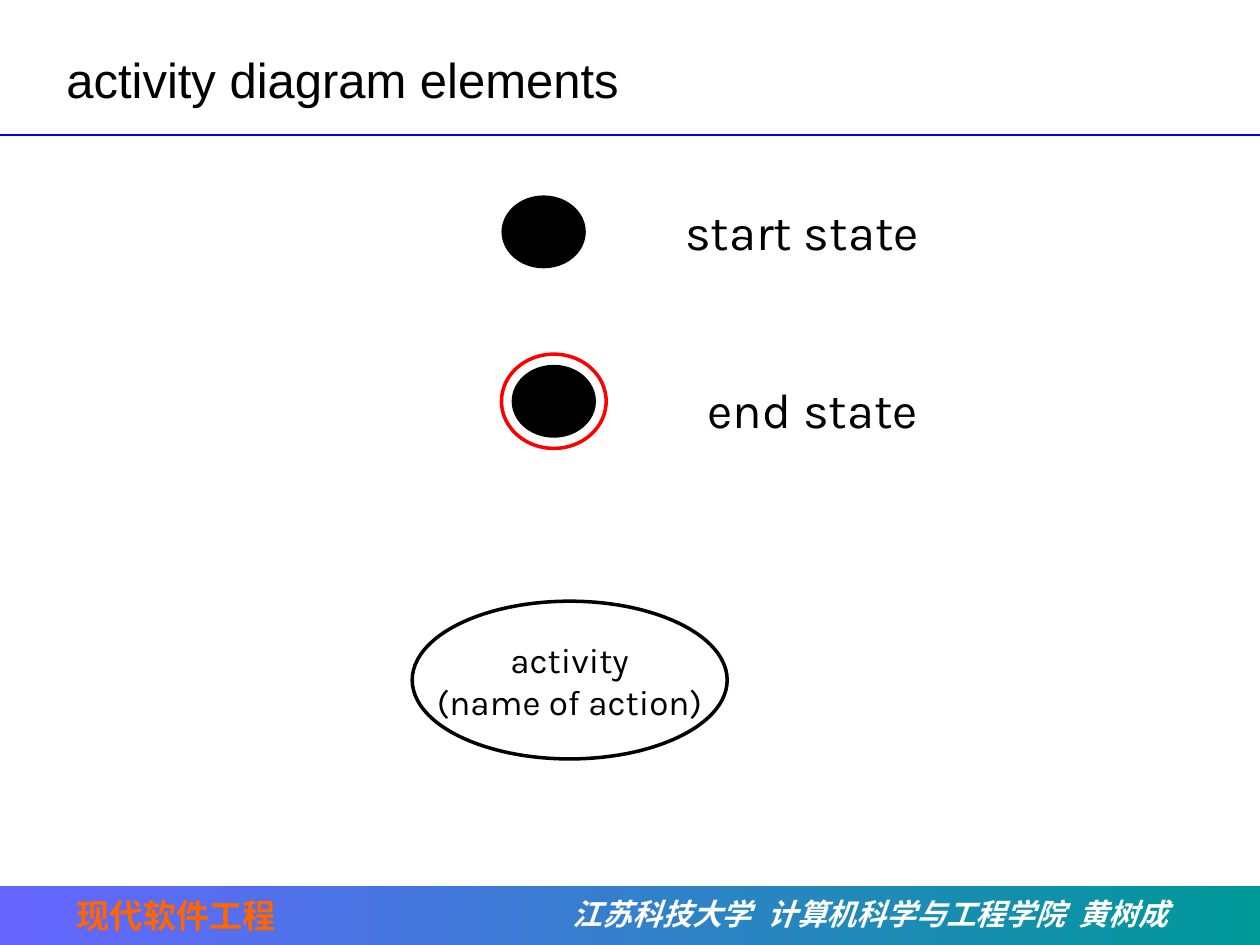
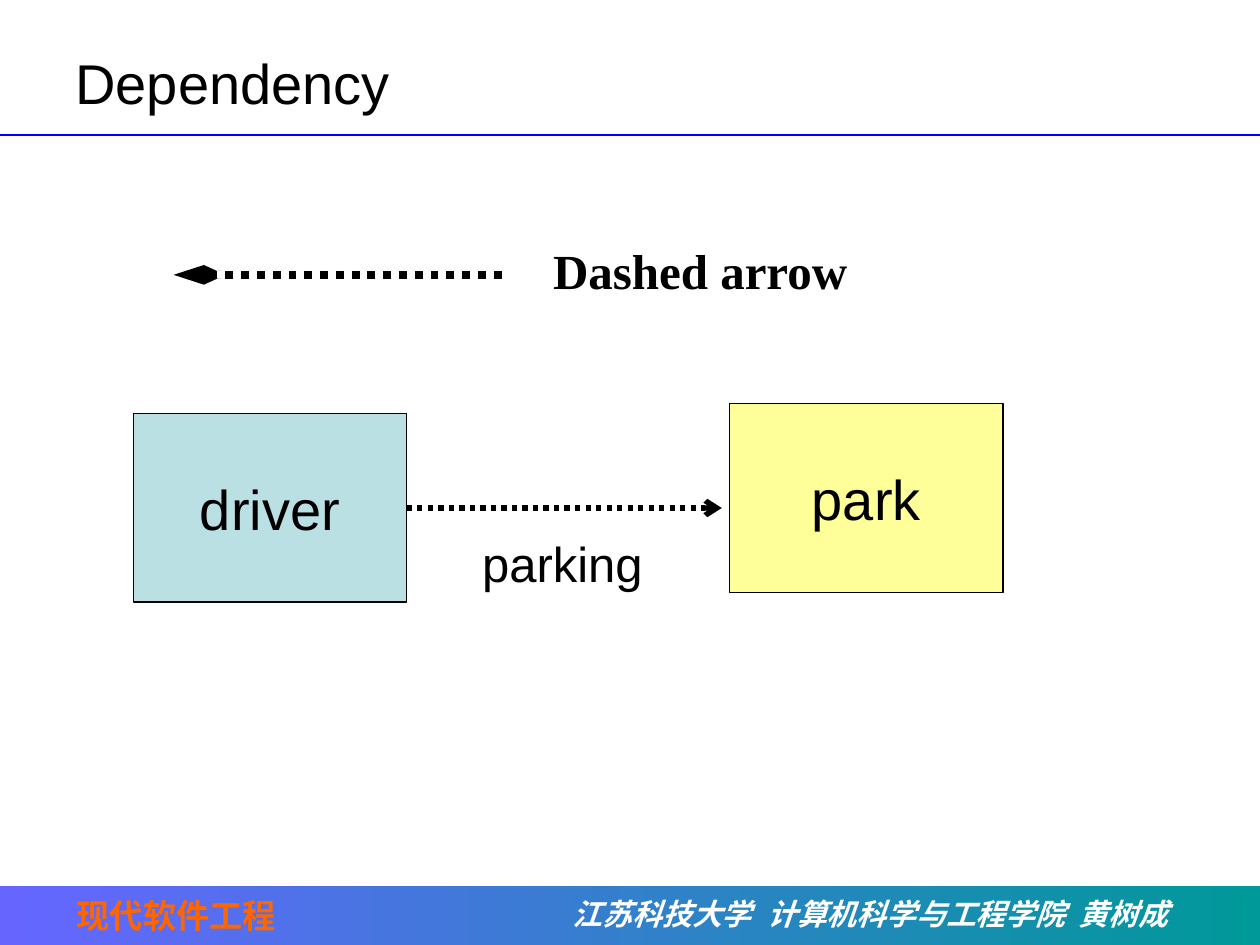
from lxml.etree import SubElement
from pptx import Presentation
from pptx.dml.color import RGBColor
from pptx.enum.dml import MSO_LINE
from pptx.enum.shapes import MSO_CONNECTOR, MSO_SHAPE
from pptx.enum.text import MSO_ANCHOR as ANCHOR, PP_ALIGN as ALIGN
from pptx.oxml.ns import qn
from pptx.util import Cm, Pt

COLORS = {
    "black": "000000", "white": "FFFFFF", "red": "FF0000",
    "rule": "0000FF", "band_left": "6666FF", "band_right": "009999",
    "course": "FF6600", "driver": "BBE0E3", "park": "FFFF99",
}
SANS, SERIF, ROUND = "Arial", "Times New Roman", "Karla"
WIDTH, HEIGHT = 25.4, 19.05

# Shared content: text, box, style, tab stops
RULE_Y = 2.72
BAND = (0, 17.86, WIDTH, 1.19)
FOOTERS = [
    ("江苏科技大学\t计算机科学与工程学院\t黄树成", (11.3, 17.93, 13, 1),
     dict(size=17, font=SERIF, color="white", bold=True, italic=True), (3.92, 10.2)),
    ("现代软件工程", (1.3, 17.93, 7.5, 1.07),
     dict(size=19, font=SERIF, color="course", bold=True), ()),
]

# Activity diagram elements
ELEMENTS_TITLE = ("activity diagram elements", (1.09, 0.53, 22.02, 2.11), 28)
DOT_SIZE = (1.7, 1.47)
START_DOT = (10.11, 3.94, *DOT_SIZE)
END_RING = (10.11, 7.14, 2.11, 1.9)
STATE_LABELS = [("start state", (13.56, 3.94, 5.21, 1.45)),
                ("end state", (13.97, 7.52, 4.83, 1.45))]
ACTIVITY = ("activity\n(name of action)", (8.31, 12.12, 6.35, 3.18))

# Dependency
DEPENDENCY_TITLE = ("Dependency", (1.27, 0.76, 22.66, 1.78), 32)
CLASS_SIZE = (5.51, 3.81)
CLASSES = [("driver", 2.69, 8.33), ("park", 14.71, 8.13)]
ARROWS = [  # start, end, y, width, head width, head length
    (10.11, 3.5, 5.54, 4.5, "sm", "lg"),
    (8.2, 14.55, 10.24, 3, "med", "med"),
]
ARROW_LABELS = [
    ("Dashed arrow", (10.9, 4.72, 10.2, 1.45), dict(font=SERIF, bold=True)),
    ("parking", (9.47, 10.64, 4.01, 1.45), dict(font=SANS)),
]


def rgb(name):
    return RGBColor.from_string(COLORS[name])


def write(sp, text, size, font, color="black", bold=False, italic=False,
          align=ALIGN.LEFT, anchor=ANCHOR.TOP, wrap=True, tabs=()):
    tf = sp.text_frame
    tf.word_wrap = wrap
    tf.vertical_anchor = anchor
    tf.text = text
    for p in tf.paragraphs:
        p.alignment = align
        if tabs:
            tab_list = SubElement(p._p.get_or_add_pPr(), qn("a:tabLst"))
            for pos in tabs:
                SubElement(tab_list, qn("a:tab"), pos=str(Cm(pos)), algn="l")
        for r in p.runs:
            r.font.size, r.font.name = Pt(size), font
            r.font.bold, r.font.italic = bold, italic
            r.font.color.rgb = rgb(color)


def add_text(s, text, box, **style):
    write(s.shapes.add_textbox(*map(Cm, box)), text, **style)


def add_shape(s, kind, box, fill=None, line=None, width=1):
    sp = s.shapes.add_shape(kind, *map(Cm, box))
    sp.shadow.inherit = False
    if fill:
        sp.fill.solid()
        sp.fill.fore_color.rgb = rgb(fill)
    else:
        sp.fill.background()
    if line:
        sp.line.color.rgb = rgb(line)
        sp.line.width = Pt(width)
    else:
        sp.line.fill.background()
    return sp


def add_line(s, x1, x2, y, color, width):
    cx = s.shapes.add_connector(MSO_CONNECTOR.STRAIGHT, Cm(x1), Cm(y), Cm(x2), Cm(y))
    cx.line.color.rgb = rgb(color)
    cx.line.width = Pt(width)
    SubElement(cx._element.spPr, qn("a:effectLst"))
    return cx


def add_arrow(s, x1, x2, y, width, head_width, head_length):
    cx = add_line(s, x1, x2, y, "black", width)
    cx.line.dash_style = MSO_LINE.ROUND_DOT
    SubElement(cx.line._get_or_add_ln(), qn("a:tailEnd"),
               type="arrow", w=head_width, len=head_length)


def add_base(prs, title, box, size):
    """New slide with the rule, footer band and title."""
    s = prs.slides.add_slide(prs.slide_layouts[6])
    add_line(s, 0, WIDTH, RULE_Y, "rule", 1.5)
    band = add_shape(s, MSO_SHAPE.RECTANGLE, BAND)
    band.fill.gradient()
    band.fill.gradient_angle = 0
    for stop, pos, name in zip(band.fill.gradient_stops, (0, 1), ("band_left", "band_right")):
        stop.position = pos
        stop.color.rgb = rgb(name)
    for text, place, style, tabs in FOOTERS:
        add_text(s, text, place, tabs=tabs, **style)
    add_text(s, title, box, size=size, font=SANS, anchor=ANCHOR.MIDDLE)
    return s


def build_elements(prs):
    s = add_base(prs, *ELEMENTS_TITLE)
    text, box = ACTIVITY
    sp = add_shape(s, MSO_SHAPE.OVAL, box, line="black", width=2)
    write(sp, text, 20, ROUND, align=ALIGN.CENTER, anchor=ANCHOR.MIDDLE, wrap=False)

    # The end dot sits in the middle of its ring
    x, y, w, h = END_RING
    dot_w, dot_h = DOT_SIZE
    end_dot = (x + (w - dot_w) / 2, y + (h - dot_h) / 2, dot_w, dot_h)
    for dot in (START_DOT, end_dot):
        add_shape(s, MSO_SHAPE.OVAL, dot, fill="black")
    add_shape(s, MSO_SHAPE.OVAL, END_RING, line="red", width=2)
    for text, box in STATE_LABELS:
        add_text(s, text, box, size=28, font=ROUND, align=ALIGN.CENTER)


def build_dependency(prs):
    s = add_base(prs, *DEPENDENCY_TITLE)
    for name, x, y in CLASSES:
        sp = add_shape(s, MSO_SHAPE.RECTANGLE, (x, y, *CLASS_SIZE), name, "black", 0.75)
        write(sp, name, 32, SANS, align=ALIGN.CENTER, anchor=ANCHOR.MIDDLE, wrap=False)
    for arrow in ARROWS:
        add_arrow(s, *arrow)
    for text, box, style in ARROW_LABELS:
        add_text(s, text, box, size=28, **style)


def main():
    prs = Presentation()
    prs.slide_width, prs.slide_height = Cm(WIDTH), Cm(HEIGHT)
    build_elements(prs)
    build_dependency(prs)
    prs.save("out.pptx")


if __name__ == "__main__":
    main()
